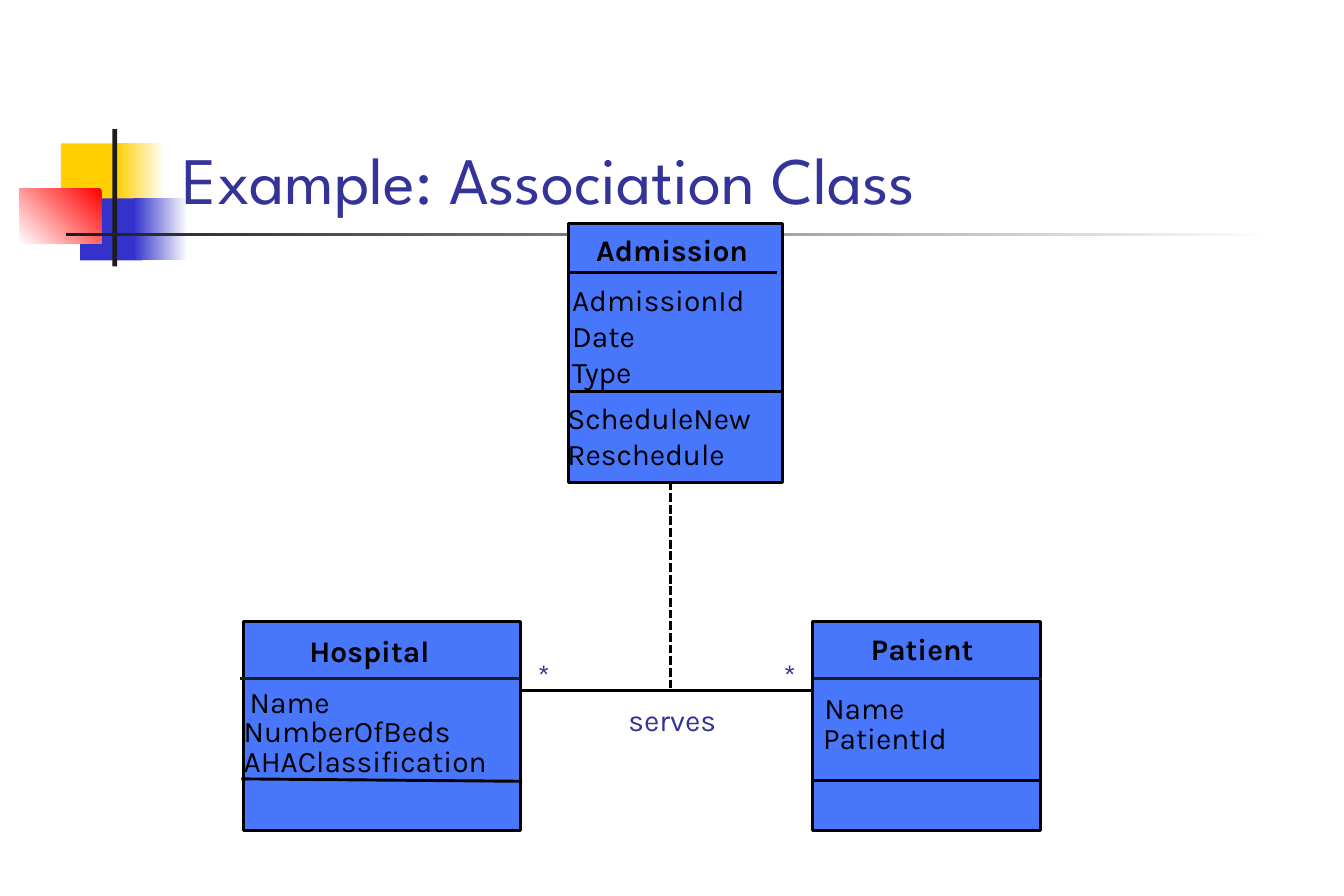
"""Build a class diagram slide that shows an association class."""
from dataclasses import dataclass

from pptx import Presentation
from pptx import util as u
from pptx.dml.color import RGBColor
from pptx.enum import dml, shapes, text
from pptx.oxml.ns import qn


@dataclass(frozen=True)
class Theme:
    gold: str = "FFCF01"
    blue: str = "3333CC"
    red: str = "FF0000"
    white: str = "FFFFFF"
    dark: str = "1C1C1C"
    indigo: str = "333399"
    class_fill: str = "4877FC"
    ink: str = "000000"
    title_font: str = "League Spartan"
    body_font: str = "Karla"
    title_size: int = 40
    body_size: int = 18
    stroke: float = 1.75


theme = Theme()
deck = Presentation()
deck.slide_width, deck.slide_height = u.Inches(11.25), u.Inches(7.5)
cell = deck.slide_width // 45
slide = deck.slides.add_slide(deck.slide_layouts[5])


def draw_line(x1, y1, x2, y2, color=theme.ink):
    line = slide.shapes.add_connector(
        shapes.MSO_CONNECTOR.STRAIGHT, *(int(n * cell) for n in (x1, y1, x2, y2)))
    line.line.color.rgb = RGBColor.from_string(color)
    line.line.width = u.Pt(theme.stroke)
    line._element.spPr.append(line._element.makeelement(qn("a:effectLst"), {}))
    return line


def write(left, top, width, height, lines, color=theme.ink, bold=False,
          spacing=1.0, inset=(0, 0)):
    label = slide.shapes.add_textbox(*(int(n * cell) for n in (left, top, width, height)))
    frame = label.text_frame
    frame.word_wrap = False
    frame.auto_size = text.MSO_AUTO_SIZE.SHAPE_TO_FIT_TEXT
    frame.margin_left = frame.margin_right = int(inset[0] * cell)
    frame.margin_top = frame.margin_bottom = int(inset[1] * cell)
    paragraph = frame.paragraphs[0]
    paragraph.line_spacing = spacing
    for index, words in enumerate(lines):
        if index:
            paragraph.add_line_break()
        run = paragraph.add_run()
        run.text = words
        run.font.name, run.font.size = theme.body_font, u.Pt(theme.body_size)
        run.font.bold = bold
        run.font.color.rgb = RGBColor.from_string(color)


emblem = [
    (2.04, 4.8, 2.16, 2.08, [theme.gold], 0),
    (3.92, 4.8, 1.6, 2.08, [theme.white, theme.gold], 180),
    (2.68, 6.64, 2.08, 2.08, [theme.blue], 0),
    (4.48, 6.64, 1.8, 2.08, [theme.white, theme.blue], 180),
    (0.64, 6.32, 2.76, 1.84, [theme.red, theme.white], 225),
    (3.76, 4.32, 0.16, 4.6, [theme.dark], 0),
    (2.2, 7.8, 40.48, 0.12, [theme.white, theme.dark], 180),
]
for *place, colors, angle in emblem:
    block = slide.shapes.add_shape(
        shapes.MSO_SHAPE.RECTANGLE, *(int(n * cell) for n in place))
    block.shadow.inherit = False
    block.line.fill.background()
    if len(colors) == 1:
        block.fill.solid()
        block.fill.fore_color.rgb = RGBColor.from_string(colors[0])
    else:
        block.fill.gradient()
        block.fill.gradient_angle = angle
        for position, (stop, color) in enumerate(zip(block.fill.gradient_stops, colors)):
            stop.position = position
            stop.color.rgb = RGBColor.from_string(color)

heading = slide.shapes.title
slide.shapes._spTree.append(heading._element)
heading.left, heading.top, heading.width, heading.height = (
    int(n * cell) for n in (5.72, 3.4, 38.28, 4.08))
heading.text_frame.vertical_anchor = text.MSO_ANCHOR.BOTTOM
heading.text_frame.auto_size = text.MSO_AUTO_SIZE.NONE
heading_line = heading.text_frame.paragraphs[0]
heading_line.alignment = text.PP_ALIGN.LEFT
heading_run = heading_line.add_run()
heading_run.text = "Example: Association Class"
heading_run.font.name, heading_run.font.size = theme.title_font, u.Pt(theme.title_size)
heading_run.font.color.rgb = RGBColor.from_string(theme.indigo)

draw_line(17.32, 23.12, 27.2, 23.12)
admission_link = draw_line(22.44, 16.12, 22.44, 23.12)
admission_link.line.dash_style = dml.MSO_LINE.SQUARE_DOT

classes = [
    (8.16, 20.8, 9.28, 7),
    (27.2, 20.8, 7.64, 7),
    (19.04, 7.48, 7.16, 8.68),
]
for place in classes:
    box = slide.shapes.add_shape(
        shapes.MSO_SHAPE.RECTANGLE, *(int(n * cell) for n in place))
    box.shadow.inherit = False
    box.fill.solid()
    box.fill.fore_color.rgb = RGBColor.from_string(theme.class_fill)
    box.line.color.rgb = RGBColor.from_string(theme.ink)
    box.line.width = u.Pt(theme.stroke)

dividers = [
    (8.08, 26.08, 17.48, 26.16, theme.ink),
    (27.2, 26.12, 34.84, 26.12, theme.ink),
    (19.04, 9.12, 26, 9.12, theme.ink),
    (19.04, 13.12, 26.2, 13.12, theme.ink),
    (8.04, 22.72, 17.4, 22.72, theme.dark),
    (27.24, 22.72, 34.88, 22.72, theme.dark),
]
for divider in dividers:
    draw_line(*divider)

class_names = [
    (10.36, 21.2, 4.16, "Hospital"),
    (29.16, 21.12, 3.64, "Patient"),
    (19.96, 7.76, 5.2, "Admission"),
]
for left, top, width, name in class_names:
    write(left, top, width, 1.2, [name], bold=True)

attributes = [
    (22.64, 1.44, 1.2, [(8.36, 2.84, "Name"), (8.16, 7.36, "NumberOfBeds"),
                        (8.16, 8.16, "AHAClassification")]),
    (23.08, 1.2, 1.0, [(27.6, 2.84, "Name"), (27.56, 4.28, "PatientId")]),
]
for first_row, height, spacing, fields in attributes:
    for row, (left, width, field) in enumerate(fields):
        write(left, first_row + row, width, height, [field], spacing=spacing)

write(19.16, 9.44, 5.84, 3.6, ["AdmissionId", "Date", "Type"])
write(18.6, 13.2, 7.16, 2.8, ["ScheduleNew", "Reschedule"], inset=(0.4, 0.2))

link_labels = [(18, 22, 0.48, "*"), (26.24, 22, 0.48, "*"), (21.04, 23.48, 3, "serves")]
for left, top, width, words in link_labels:
    write(left, top, width, 1.2, [words], color=theme.indigo)

deck.save("out.pptx")
